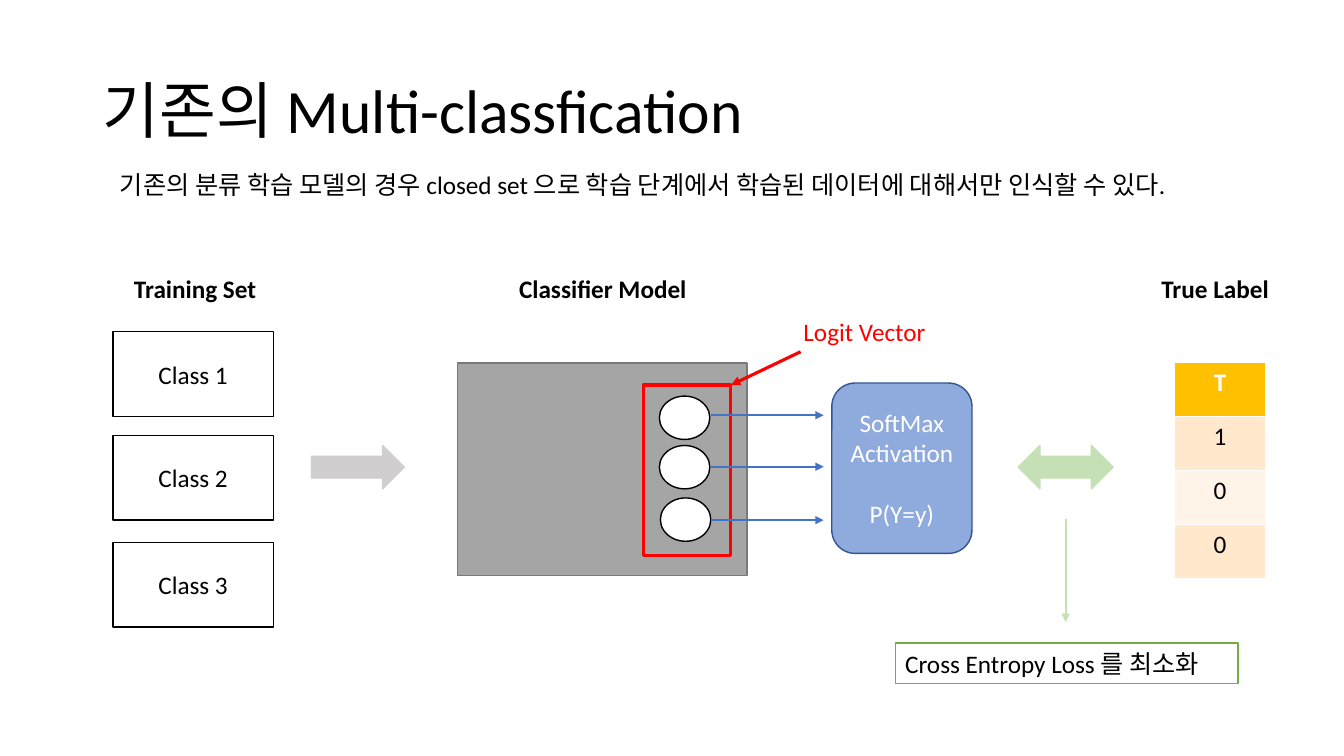
"""Build the multi-class classification slide with its training, model and label parts."""
from lxml import etree
from pptx import Presentation
from pptx import util as u
from pptx.dml.color import RGBColor
from pptx.enum import shapes, text
from pptx.oxml import ns

COLORS = {
    "black": "000000", "white": "FFFFFF", "red": "FF0000", "model": "A5A5A5",
    "model_line": "7A7A7A", "blue": "4472C4", "softmax": "8FAADC",
    "softmax_line": "325491", "gold": "FFC000", "odd_row": "FFE8CC",
    "even_row": "FFF4E7", "loss": "C5E0B4", "loss_line": "70AD47", "gray": "D0CECE",
}
SHAPE = shapes.MSO_SHAPE
CENTER = text.PP_ALIGN.CENTER
MIDDLE = text.MSO_ANCHOR.MIDDLE
TOP = text.MSO_ANCHOR.TOP

TITLE = "기존의 Multi-classfication"
LABELS = [
    ("기존의 분류 학습 모델의 경우 closed set 으로 학습 단계에서 학습된 데이터에 대해서만 인식할 수 있다. ",
     (1.09, 1.63, 11.75, 0.4), {}),
    ("Training Set", (1.23, 2.66, 1.48, 0.4), {"bold": True}),
    ("Classifier Model", (5.05, 2.66, 2, 0.4), {"bold": True}),
    ("True Label", (11.42, 2.66, 1.9, 0.4), {"bold": True}),
    ("Logit Vector", (7.87, 3.09, 1.59, 0.4), {"color": "red"}),
]
CLASSES = [("Class 1", 3.29), ("Class 2", 4.32), ("Class 3", 5.38)]
NODES = [(6.54, 3.93, 4.12), (6.54, 4.42, 4.63), (6.55, 4.94, 5.16)]
BLOCKS = [
    (SHAPE.RECTANGLE, (4.54, 3.6, 2.87, 2.11), "model", "model_line", 1),
    (SHAPE.RECTANGLE, (6.38, 3.82, 0.87, 1.69), None, "red", 2.25),
    (SHAPE.RIGHT_ARROW, (3.09, 4.42, 0.92, 0.43), "gray", "gray", 1),
    (SHAPE.LEFT_RIGHT_ARROW, (10.1, 4.42, 0.94, 0.43), "loss", "loss", 1),
]
SOFTMAX = ["SoftMax", "Activation", "P(Y=y)"]
LOSS = "Cross Entropy Loss 를 최소화"
TRUE_LABEL = [("T", "gold"), ("1", "odd_row"), ("0", "even_row"), ("0", "odd_row")]
ARROWS = [((7.94, 3.49), (7.25, 3.82), "red", 2.25),
          ((10.57, 5.15), (10.57, 6.17), "loss", 1.5)]


def rgb(name):
    return RGBColor.from_string(COLORS[name])


def inches(values):
    return [u.Inches(value) for value in values]


def write(frame, lines, color="black", size=18, bold=False, align=None, anchor=TOP):
    for name, value in {"word_wrap": True, "vertical_anchor": anchor}.items():
        setattr(frame, name, value)
    for index, line in enumerate(lines):
        paragraph = frame.paragraphs[0] if index == 0 else frame.add_paragraph()
        paragraph.alignment = align
        run = paragraph.add_run()
        run.text = line
        run.font.color.rgb = rgb(color)
        for name, value in {"name": "Calibri", "size": u.Pt(size), "bold": bold}.items():
            setattr(run.font, name, value)


def add_block(slide, kind, box, fill, line, width=1):
    shape = slide.shapes.add_shape(kind, *inches(box))
    shape.shadow.inherit = False
    if fill:
        shape.fill.solid()
        shape.fill.fore_color.rgb = rgb(fill)
    else:
        shape.fill.background()
    shape.line.color.rgb = rgb(line)
    shape.line.width = u.Pt(width)
    return shape


def add_arrow(slide, start, end, color, width):
    arrow = slide.shapes.add_connector(shapes.MSO_CONNECTOR.STRAIGHT, *inches(start + end))
    arrow.line.color.rgb = rgb(color)
    arrow.line.width = u.Pt(width)
    properties = arrow.element.spPr
    line = properties.find(ns.qn("a:ln"))
    etree.SubElement(line, ns.qn("a:tailEnd"), type="triangle")
    etree.SubElement(properties, ns.qn("a:effectLst"))


def add_true_label(slide):
    frame = slide.shapes.add_table(len(TRUE_LABEL), 1, *inches((11.65, 3.6, 0.9, 2.14)))
    for row, (value, fill) in enumerate(TRUE_LABEL):
        cell = frame.table.cell(row, 0)
        cell.fill.solid()
        cell.fill.fore_color.rgb = rgb(fill)
        header = row == 0
        write(cell.text_frame, [value], "white" if header else "black",
              bold=header, align=CENTER)


def main():
    presentation = Presentation()
    presentation.slide_width, presentation.slide_height = inches((13.33, 7.5))
    slide = presentation.slides.add_slide(presentation.slide_layouts[5])

    title = slide.shapes.title
    title.left, title.top, title.width, title.height = inches((0.92, 0.4, 11.5, 1.45))
    write(title.text_frame, [TITLE], size=44, align=text.PP_ALIGN.LEFT, anchor=MIDDLE)
    title.text_frame.paragraphs[0].line_spacing = 0.9

    for label, box, style in LABELS:
        write(slide.shapes.add_textbox(*inches(box)).text_frame, [label], **style)
    for name, top in CLASSES:
        shape = add_block(slide, SHAPE.RECTANGLE, (1.12, top, 1.59, 0.84), "white", "black")
        write(shape.text_frame, [name], align=CENTER, anchor=MIDDLE)
    for block in BLOCKS:
        add_block(slide, *block)
    for left, top, arrow_y in NODES:
        add_block(slide, SHAPE.OVAL, (left, top, 0.5, 0.43), "white", "black")
        add_arrow(slide, (7.05, arrow_y), (8.17, arrow_y), "blue", 1.5)

    softmax = add_block(slide, SHAPE.ROUNDED_RECTANGLE, (8.25, 3.8, 1.39, 1.69),
                        "softmax", "softmax_line")
    write(softmax.text_frame, SOFTMAX, "white", align=CENTER, anchor=MIDDLE)
    softmax.text_frame.paragraphs[-1].space_before = u.Pt(22)

    loss = add_block(slide, SHAPE.RECTANGLE, (8.88, 6.38, 3.4, 0.4), "white", "loss_line")
    write(loss.text_frame, [LOSS], align=text.PP_ALIGN.LEFT)
    for arrow in ARROWS:
        add_arrow(slide, *arrow)
    add_true_label(slide)
    presentation.save("out.pptx")


main()
